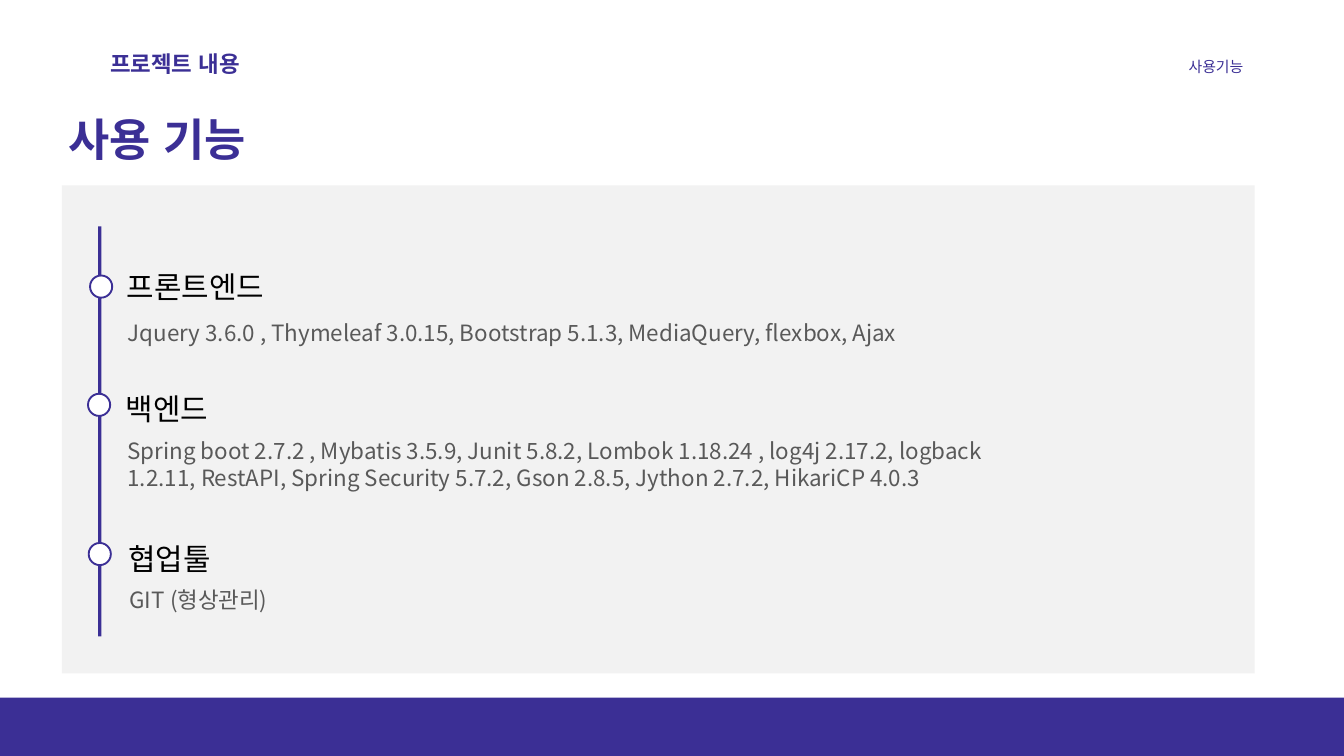
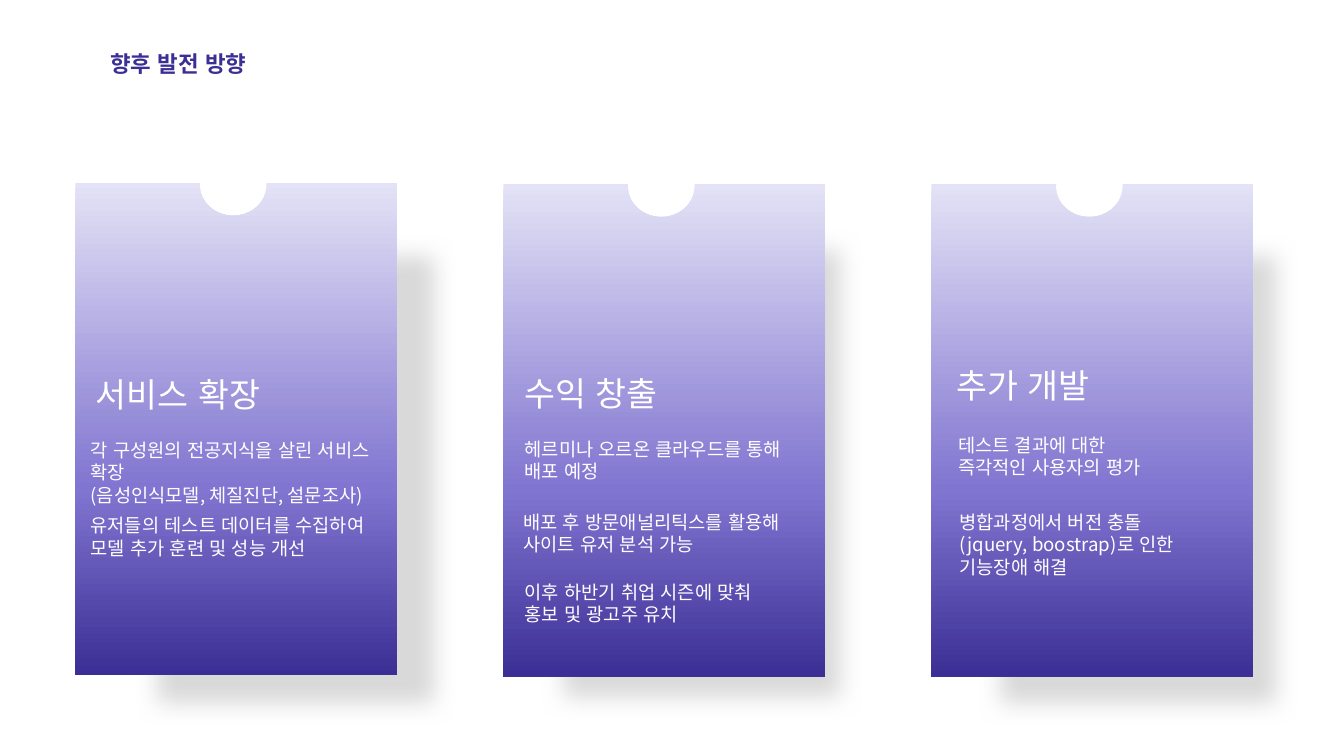
from math import pi, sin, tan
from copy import deepcopy
from lxml import etree
from pptx import Presentation
from pptx.dml.color import RGBColor
from pptx.enum.lang import MSO_LANGUAGE_ID as Language
from pptx.enum.shapes import MSO_SHAPE as Shape
from pptx.enum.text import MSO_AUTO_SIZE as AutoSize, PP_ALIGN as Align
from pptx.oxml.ns import qn
from pptx.util import Inches, Pt

FONT = "Noto Sans CJK KR"
PURPLE = RGBColor(0x3B, 0x2F, 0x95)
VIOLET = RGBColor(0x80, 0x75, 0xD0)
LILAC = RGBColor(0xE4, 0xE2, 0xF6)
WHITE = RGBColor(0xFF, 0xFF, 0xFF)
BLACK = RGBColor(0, 0, 0)
PANEL = RGBColor(0xF2, 0xF2, 0xF2)
SHADOW = RGBColor(0xD9, 0xD9, 0xD9)
GREY = RGBColor(0x59, 0x59, 0x59)

# marker corner, heading (left, top, text), body (left, top, width, height, text)
FEATURES = [
    dict(marker=(1.34, 4.1), heading=(1.79, 3.95, "프론트엔드"), body=(
        1.8, 4.7, 14.04, 0.5,
        "Jquery 3.6.0 , Thymeleaf 3.0.15, Bootstrap 5.1.3, MediaQuery, flexbox, Ajax")),
    dict(marker=(1.31, 5.86), heading=(1.77, 5.77, "백엔드"), body=(
        1.8, 6.46, 13.92, 0.91,
        "Spring boot 2.7.2 , Mybatis 3.5.9, Junit 5.8.2, Lombok 1.18.24 , log4j 2.17.2, "
        "logback 1.2.11, RestAPI, Spring Security 5.7.2, Gson 2.8.5, Jython 2.7.2, "
        "HikariCP 4.0.3")),
    dict(marker=(1.32, 8.08), heading=(1.81, 7.99, "협업툴"), body=(
        1.83, 8.68, 2.67, 0.5, "GIT (형상관리)")),
]

# card and shadow corners, heading place, notes as (left, top, width, lines)
CARDS = [
    dict(card=(13.86, 2.74), shadow=(14.54, 3.47), title=(14.13, 5.38, "추가 개발"), notes=[
        (14.16, 6.4, 4.15, ["테스트 결과에 대한", "즉각적인 사용자의 평가"]),
        (14.18, 7.55, 4.79, ["병합과정에서 버전 충돌", "(jquery, boostrap)로 인한",
                             "기능장애 해결"]),
    ]),
    dict(card=(1.12, 2.72), shadow=(2, 3.47), title=(1.33, 5.51, "서비스 확장"), notes=[
        (1.25, 6.48, 4.79, ["각 구성원의 전공지식을 살린 서비스 확장",
                            "(음성인식모델, 체질진단, 설문조사)"]),
        (1.25, 7.6, 4.79, ["유저들의 테스트 데이터를 수집하여", "모델 추가 훈련 및 성능 개선"]),
    ]),
    dict(card=(7.49, 2.74), shadow=(8.04, 3.38), title=(7.71, 5.5, "수익 창출"), notes=[
        (7.71, 6.46, 4.15, ["헤르미나 오르온 클라우드를 통해", "배포 예정"]),
        (7.69, 7.55, 4.15, ["배포 후 방문애널리틱스를 활용해", "사이트 유저 분석 가능"]),
        (7.71, 8.59, 4.15, ["이후 하반기 취업 시즌에 맞춰", "홍보 및 광고주 유치"]),
    ]),
]
CARD_W, CARD_H = 4.79, 7.33
NOTCH_X, NOTCH_Y, NOTCH_RX, NOTCH_RY = 2.35, 0.04, 0.495, 0.45
BEND = 4 / 3 * tan(pi / 8)  # handle length of a quarter-circle curve


def add_text(shapes, x, y, w, h, lines, size, color, bold=False, align=None, spacing=None):
    s = shapes.add_textbox(Inches(x), Inches(y), Inches(w), Inches(h))
    tf = s.text_frame
    tf.word_wrap = True
    tf.auto_size = AutoSize.SHAPE_TO_FIT_TEXT
    for i, line in enumerate(lines):
        p = tf.paragraphs[0] if i == 0 else tf.add_paragraph()
        p.alignment = align
        p.line_spacing = spacing
        r = p.add_run()
        r.text = line
        r.font.size = Pt(size)
        r.font.bold = bold
        r.font.language_id = Language.KOREAN
        r.font.color.rgb = color
        r.font.name = FONT
        etree.SubElement(r.font._element, qn("a:ea"), typeface=FONT)


def add_block(shapes, kind, x, y, w, h, fill, line=None):
    s = shapes.add_shape(kind, Inches(x), Inches(y), Inches(w), Inches(h))
    s.shadow.inherit = False
    s.fill.solid()
    s.fill.fore_color.rgb = fill
    if line:
        s.line.color.rgb = line
        s.line.width = Pt(2)
    else:
        s.line.fill.background()


def add_ticket(shapes, x, y):
    """Add a card outline with a half-round notch in its top edge."""
    left, right = NOTCH_X - NOTCH_RX, NOTCH_X + NOTCH_RX
    bottom = NOTCH_Y + NOTCH_RY
    bend_x, bend_y = BEND * NOTCH_RX, NOTCH_Y + BEND * NOTCH_RY
    curves = [(left, bend_y), (NOTCH_X - bend_x, bottom), (NOTCH_X, bottom),
              (NOTCH_X + bend_x, bottom), (right, bend_y), (right, NOTCH_Y)]
    outline = [(left, 0), (left, NOTCH_Y), *curves, (right, 0),
               (CARD_W, 0), (CARD_W, CARD_H), (0, CARD_H)]
    builder = shapes.build_freeform(Inches(x), Inches(y))
    builder.add_line_segments([(Inches(x + dx), Inches(y + dy)) for dx, dy in outline])
    s = builder.convert_to_shape()
    lines = s._element.spPr.findall(".//" + qn("a:lnTo"))
    for first in (2, 5):
        bend_curve(lines[first:first + 3])
    s.shadow.inherit = False
    s.line.fill.background()
    return s


def bend_curve(lines):
    """Turn three straight segments into one curve with their ends as its points."""
    curve = etree.Element(qn("a:cubicBezTo"))
    lines[0].addprevious(curve)
    for line in lines:
        curve.append(line[0])
        line.getparent().remove(line)


def add_card_shadow(shapes, x, y):
    s = add_ticket(shapes, x, y)
    s.fill.solid()
    s.fill.fore_color.rgb = SHADOW
    effects = s._element.spPr.find(qn("a:effectLst"))
    etree.SubElement(effects, qn("a:softEdge"), rad=str(Inches(0.35)))


def add_card(shapes, x, y):
    s = add_ticket(shapes, x, y)
    s.fill.gradient()
    s.fill.gradient_angle = 270
    stops = s._element.spPr.find(".//" + qn("a:gsLst"))
    stops.append(deepcopy(stops[-1]))
    colors = [(0, LILAC), (0.62, VIOLET), (1, PURPLE)]
    for stop, (position, color) in zip(s.fill.gradient_stops, colors):
        stop.position = position
        stop.color.rgb = color


def add_slide(prs, section):
    shapes = prs.slides.add_slide(prs.slide_layouts[6]).shapes
    add_text(shapes, 1.54, 0.69, 2.7, 0.5, [section], 24, PURPLE, bold=True)
    return shapes


def build_features(prs):
    shapes = add_slide(prs, "프로젝트 내용")
    add_text(shapes, 17.27, 0.76, 1.65, 0.41, ["사용기능"], 16, PURPLE,
             align=Align.CENTER, spacing=1.2)
    add_text(shapes, 0.92, 1.61, 4.99, 0.91, ["사용 기능"], 48, PURPLE, bold=True)
    timeline = shapes.add_group_shape().shapes
    add_block(timeline, Shape.RECTANGLE, 0.92, 2.76, 17.75, 7.26, PANEL)
    add_block(timeline, Shape.RECTANGLE, 1.46, 3.37, 0.05, 6.1, PURPLE)
    for feature in FEATURES:
        add_block(timeline, Shape.OVAL, *feature["marker"], 0.33, 0.33, WHITE, PURPLE)
        x, y, heading = feature["heading"]
        add_text(timeline, x, y, 3.78, 0.64, [heading], 32, BLACK)
        *box, body = feature["body"]
        add_text(timeline, *box, [body], 24, GREY)
    add_block(shapes, Shape.RECTANGLE, 0, 10.38, 20, 0.87, PURPLE)


def build_plans(prs):
    shapes = add_slide(prs, "향후 발전 방향")
    for plan in CARDS:
        add_card_shadow(shapes, *plan["shadow"])
        add_card(shapes, *plan["card"])
        x, y, title = plan["title"]
        add_text(shapes, x, y, 4.15, 0.71, [title], 36, WHITE)
        for x, y, w, lines in plan["notes"]:
            add_text(shapes, x, y, w, 0.1 + 0.335 * len(lines), lines, 20, WHITE)


def main():
    prs = Presentation()
    prs.slide_width, prs.slide_height = Inches(20), Inches(11.25)
    build_features(prs)
    build_plans(prs)
    prs.save("out.pptx")


if __name__ == "__main__":
    main()
